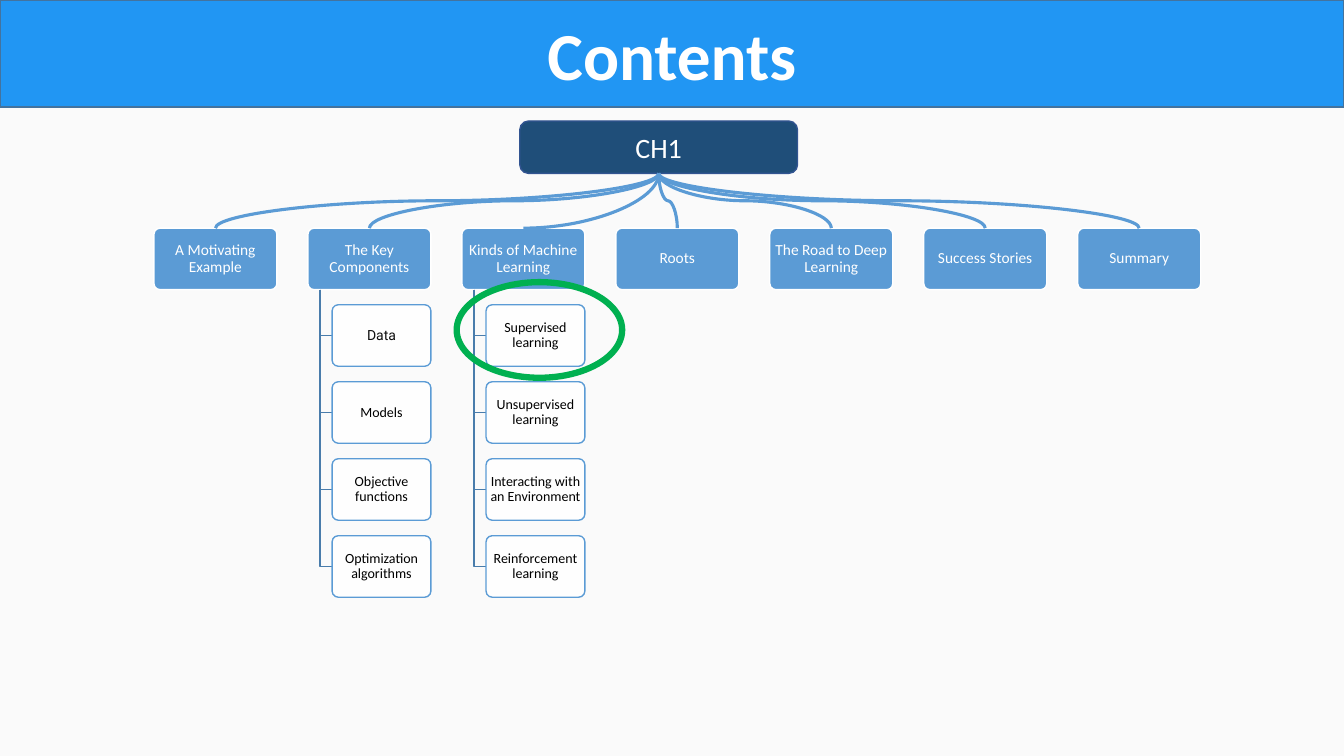
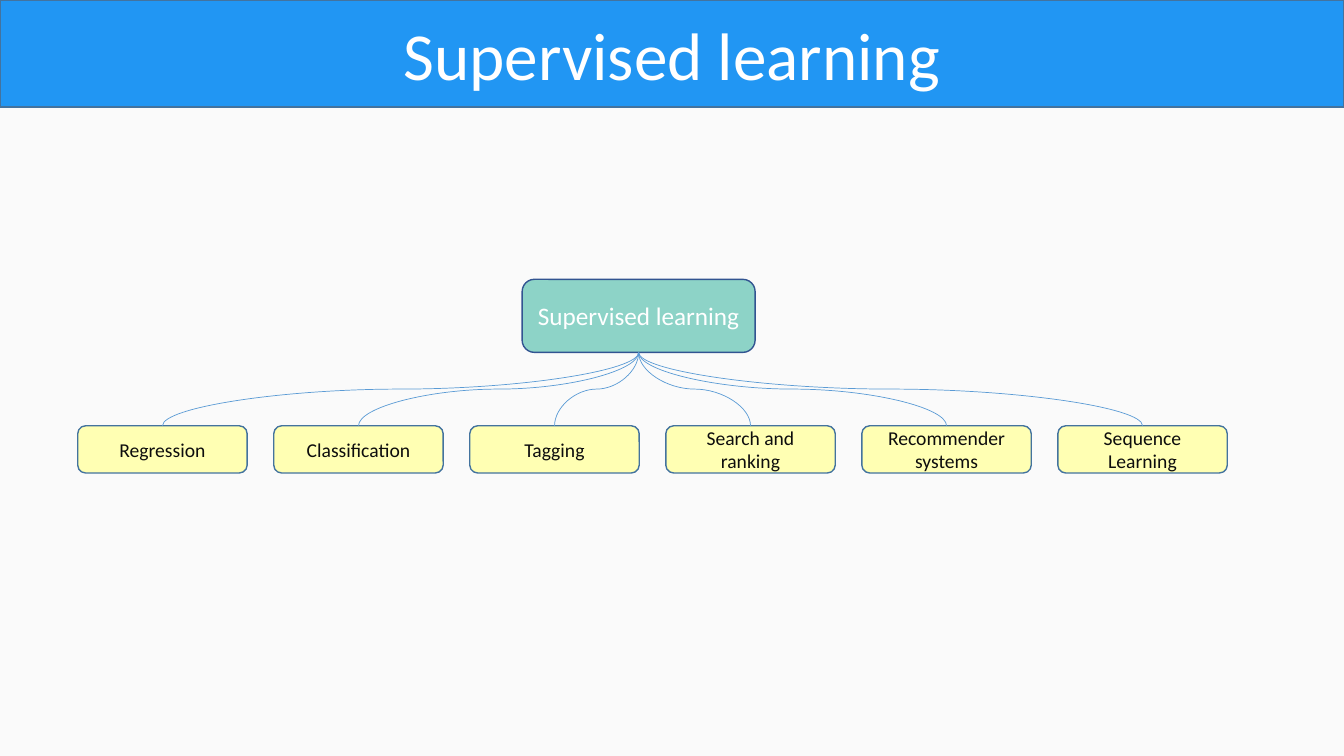
import dataclasses

import lxml.etree
import pptx
import pptx.dml.color
import pptx.enum.shapes
import pptx.enum.text
import pptx.oxml.ns
import pptx.util

Cm = pptx.util.Cm
Pt = pptx.util.Pt
RGB = pptx.dml.color.RGBColor.from_string
qn = pptx.oxml.ns.qn
SHAPE = pptx.enum.shapes.MSO_SHAPE


@dataclasses.dataclass(frozen=True)
class Theme:
    font: str = "Calibri"
    page: str = "FAFAFA"
    white: str = "FFFFFF"
    black: str = "000000"
    ink: str = "0D0D0D"
    band: str = "2196F3"
    edge: str = "43739E"
    root: str = "1F4E79"
    root_edge: str = "325491"
    topic: str = "5B9BD5"
    elbow: str = "497CAB"
    mint: str = "8DD3C7"
    yellow: str = "FFFFB3"
    green: str = "00B050"
    title_size: int = 48
    root_size: int = 20
    parent_size: int = 18
    child_size: int = 14
    topic_size: int = 11
    leaf_size: int = 10


T = Theme()


def box(s, at, text, size, fill, line, color=T.white, kind=SHAPE.ROUNDED_RECTANGLE,
        bold=None, font=T.font, compact=False):
    """Add a filled box with centred text; compact means tight margins and corners."""
    sp = s.shapes.add_shape(kind, *(Cm(v) for v in at))
    sp.shadow.inherit = False
    sp.fill.solid()
    sp.fill.fore_color.rgb = RGB(fill)
    sp.line.color.rgb = RGB(line)
    sp.line.width = Pt(1)
    tf = sp.text_frame
    tf.word_wrap = True
    tf.vertical_anchor = pptx.enum.text.MSO_ANCHOR.MIDDLE
    p = tf.paragraphs[0]
    p.alignment = pptx.enum.text.PP_ALIGN.CENTER
    if compact:
        sp.adjustments[0] = 0.1
        tf.margin_left = tf.margin_right = tf.margin_top = tf.margin_bottom = Cm(0.04)
        p.line_spacing = 0.9
    r = p.add_run()
    r.text = text
    r.font.name = font
    r.font.size = Pt(size)
    r.font.bold = bold
    r.font.color.rgb = RGB(color)
    return sp


def curve(s, parent, child, weight, quarter=False):
    """Add a curve leaving the parent downwards: an S, or a quarter turn."""
    x1, y1 = parent.left + parent.width // 2, parent.top + parent.height
    x2, y2 = child.left + child.width // 2, child.top
    c = s.shapes.add_connector(pptx.enum.shapes.MSO_CONNECTOR.CURVE, x1, y1, x2, y2)
    c.begin_connect(parent, 2)
    if not quarter:
        c.end_connect(child, 0)
    c.line.color.rgb = RGB(T.topic)
    c.line.width = Pt(weight)
    # A vertical start needs the frame turned a quarter about its centre
    drop, span = y2 - y1, abs(x2 - x1)
    c.left, c.top = (x1 + x2 - drop) // 2, (y1 + y2 - span) // 2
    c.width, c.height = drop, span
    props = c.element.spPr
    xfrm = props.find(qn("a:xfrm"))
    xfrm.set("rot", str((90 if x2 < x1 else 270) * 60000))
    xfrm.set("flipH", "0" if x2 < x1 else "1")
    if quarter:
        props.find(qn("a:prstGeom")).set("prst", "curvedConnector2")
    lxml.etree.SubElement(props, qn("a:effectLst"))


# Presentation and shared background
prs = pptx.Presentation()
prs.slide_width, prs.slide_height = Cm(33.87), Cm(19.05)
bg = prs.slide_master.background.fill
bg.solid()
bg.fore_color.rgb = RGB(T.page)

# Slides with their title bands
slides = []
for title, bold in [("Contents", True), ("Supervised learning", None)]:
    s = prs.slides.add_slide(prs.slide_layouts[6])
    box(s, (0, 0, 33.87, 2.7), title, T.title_size, T.band, T.edge,
        kind=SHAPE.RECTANGLE, bold=bold)
    slides.append(s)

# Slide 1: chapter outline
s = slides[0]
topics = [
    ("A Motivating Example", []),
    ("The Key Components",
     ["Data", "Models", "Objective functions", "Optimization algorithms"]),
    ("Kinds of Machine Learning",
     ["Supervised learning", "Unsupervised learning",
      "Interacting with an Environment", "Reinforcement learning"]),
    ("Roots", []),
    ("The Road to Deep Learning", []),
    ("Success Stories", []),
    ("Summary", []),
]
root = box(s, (13.1, 3.05, 7, 1.32), "CH1", T.root_size, T.root, T.root_edge)
pitch, topic_top, box_h = 3.88, 5.75, 1.55
topic_bottom = topic_top + box_h
topic_boxes = []
for i, (topic, leaves) in enumerate(topics):
    x = pitch * (i + 1)
    topic_boxes.append(box(s, (x, topic_top, 3.1, box_h), topic, T.topic_size,
                           T.topic, T.white, compact=True))
    for j, leaf in enumerate(leaves):
        y = 7.68 + 1.94 * j
        # Elbow from the topic to the leaf
        trunk, middle = Cm(x + 0.31), Cm(y + box_h / 2)
        fb = s.shapes.build_freeform(trunk, Cm(topic_bottom))
        fb.add_line_segments([(trunk, middle), (Cm(x + 0.61), middle)], close=False)
        elbow = fb.convert_to_shape()
        elbow.shadow.inherit = False
        elbow.fill.background()
        elbow.line.color.rgb = RGB(T.elbow)
        elbow.line.width = Pt(1)
        # Leaf with a slightly transparent fill
        is_data = leaf == "Data"
        sp = box(s, (x + 0.61, y, 2.49, box_h), leaf, T.leaf_size, T.white, T.topic,
                 color=T.ink if is_data else T.black,
                 font="Roboto" if is_data else T.font, compact=True)
        clr = sp.element.spPr.find(qn("a:solidFill")).find(qn("a:srgbClr"))
        lxml.etree.SubElement(clr, qn("a:alpha"), val="90000")

for i, topic_box in enumerate(topic_boxes):
    curve(s, root, topic_box, 2.25, quarter=i == 2)

# Highlight ring around the current section
ring = s.shapes.add_shape(SHAPE.OVAL, Cm(11.51), Cm(7.11), Cm(4.17), Cm(2.41))
ring.shadow.inherit = False
ring.fill.background()
ring.line.color.rgb = RGB(T.green)
ring.line.width = Pt(4.5)

# Slide 2: kinds of supervised learning
s = slides[1]
parent = box(s, (13.16, 7.04, 5.87, 1.84), "Supervised learning", T.parent_size,
             T.mint, T.root_edge)
kinds = ["Regression", "Classification", "Tagging", "Search and ranking",
         "Recommender systems", "Sequence Learning"]
for i, kind in enumerate(kinds):
    child = box(s, (1.96 + 4.94 * i, 10.73, 4.27, 1.19), kind, T.child_size,
                T.yellow, T.edge, color=T.ink)
    curve(s, parent, child, 0.5)

prs.save("out.pptx")
